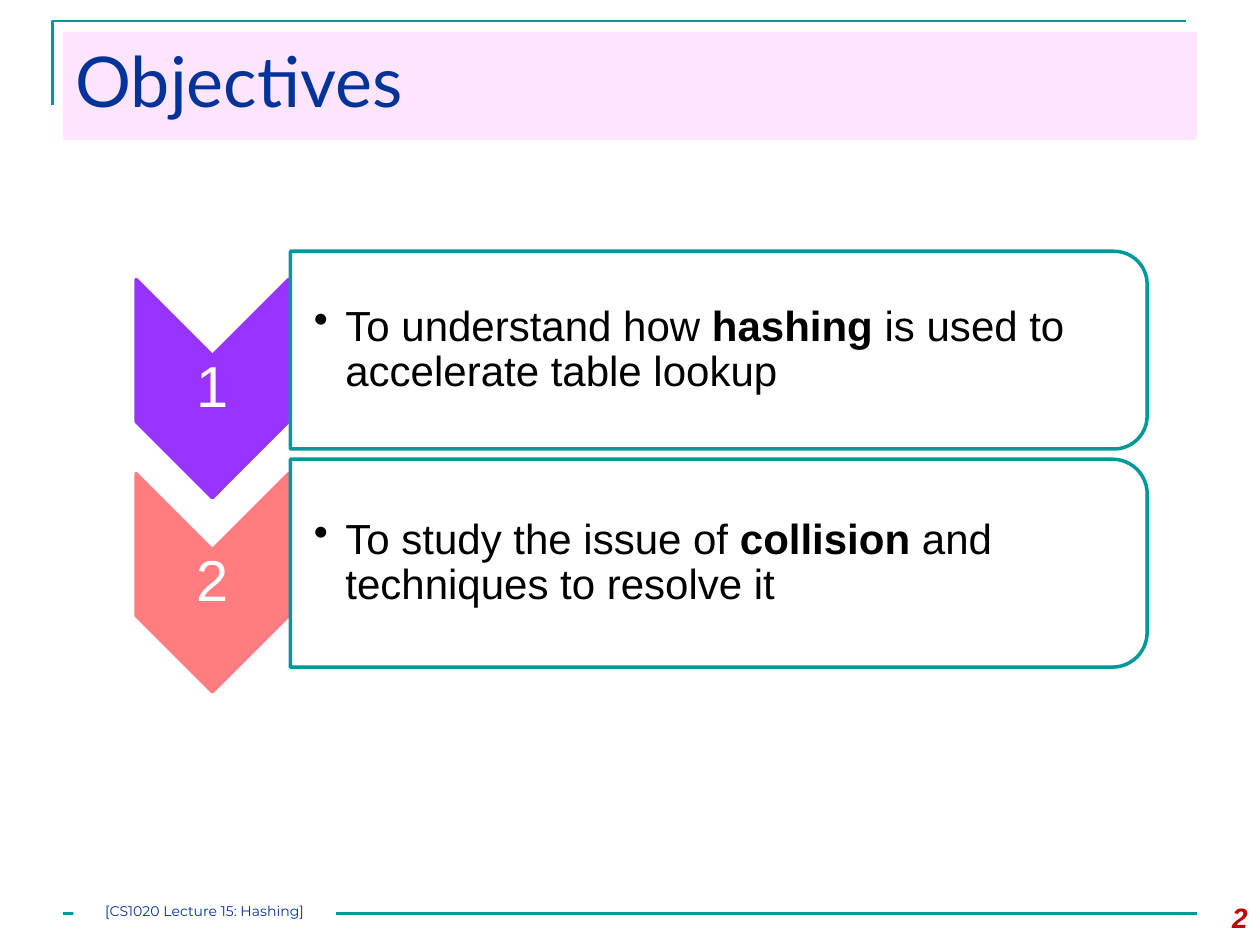
from lxml.etree import SubElement
from pptx import Presentation
from pptx.dml.color import RGBColor
from pptx.enum.shapes import MSO_CONNECTOR, MSO_SHAPE
from pptx.enum.text import MSO_ANCHOR as Anchor, MSO_AUTO_SIZE, PP_ALIGN as Align
from pptx.oxml.ns import qn
from pptx.util import Pt

COLORS = {
    "teal": "009999", "navy": "003399", "pink": "FF99FF", "white": "FFFFFF",
    "black": "000000", "red": "C00000", "violet": "9933FF", "coral": "FF7C80",
}
# number, colour, panel top, panel height, text runs as (words, bold)
OBJECTIVES = [
    ("1", "violet", 143.6, 113, [
        ("To understand how ", False), ("hashing", True),
        (" is used to accelerate table lookup", False)]),
    ("2", "coral", 262.4, 118.8, [
        ("To study the issue of ", False), ("collision", True),
        (" and techniques to resolve it", False)]),
]
CHEVRON_TOP, CHEVRON_STEP = 159.8, 110.9


def rgb(name):
    return RGBColor.from_string(COLORS[name])


def set_fill(shape, color, alpha=100):
    shape.fill.solid()
    shape.fill.fore_color.rgb = rgb(color)
    if alpha < 100:
        tint = shape.fill._xPr.find(qn("a:solidFill"))[0]
        SubElement(tint, qn("a:alpha"), val=str(alpha * 1000))


def set_line(shape, color, width):
    shape.line.color.rgb = rgb(color)
    shape.line.width = Pt(width)


def set_font(para, name, size, color):
    para.font.name = name
    para.font.size = Pt(size)
    para.font.color.rgb = rgb(color)


def set_frame(shape, anchor, left=1.5, other=1.5):
    frame = shape.text_frame
    frame.word_wrap = True
    frame.vertical_anchor = anchor
    frame.margin_left = Pt(left)
    frame.margin_top = frame.margin_right = frame.margin_bottom = Pt(other)
    return frame


def add_text_box(page, left, top, width, height):
    return page.shapes.add_textbox(Pt(left), Pt(top), Pt(width), Pt(height))


def add_turned_shape(page, kind, left, top, width, height):
    """Add a shape turned by 90 degrees that fills the given upright box."""
    shape = page.shapes.add_shape(
        kind, Pt(left + (width - height) / 2), Pt(top + (height - width) / 2),
        Pt(height), Pt(width))
    shape.rotation = 90
    shape.shadow.inherit = False
    return shape


def add_heading(page, left, top, width, height):
    title = page.shapes.title
    title.left, title.top, title.width, title.height = map(Pt, (left, top, width, height))
    set_fill(title, "pink", 25)
    frame = set_frame(title, Anchor.TOP, 7.2, 3.6)
    frame.auto_size = MSO_AUTO_SIZE.NONE
    frame.text = "Objectives"
    para = frame.paragraphs[0]
    para.alignment = Align.LEFT
    set_font(para, "Lato", 40, "navy")

    builder = page.shapes.build_freeform(Pt(left - 6), Pt(top + 42))
    builder.add_line_segments(
        [(Pt(left - 6), Pt(top - 6)), (Pt(left + width - 6), Pt(top - 6))], close=False)
    corner = builder.convert_to_shape()
    corner.fill.background()
    set_line(corner, "teal", 1.5)
    corner.shadow.inherit = False


def add_chevron(page, number, color, left, top, width, height):
    chevron = add_turned_shape(page, MSO_SHAPE.CHEVRON, left, top, width, height)
    set_fill(chevron, color)
    set_line(chevron, color, 2)
    label = add_text_box(page, left, top + width / 2, width, height - width)
    frame = set_frame(label, Anchor.MIDDLE)
    frame.text = number
    para = frame.paragraphs[0]
    para.alignment = Align.CENTER
    para.line_spacing = 0.9
    set_font(para, "Arial", 33, "white")


def add_panel(page, spans, left, top, width, height):
    panel = add_turned_shape(
        page, MSO_SHAPE.ROUND_2_SAME_RECTANGLE, left, top, width, height)
    set_fill(panel, "white", 90)
    set_line(panel, "teal", 2)
    box = add_text_box(page, left, top + 5.7, width - 5.4, height - 11.4)
    para = set_frame(box, Anchor.MIDDLE, left=13.5).paragraphs[0]
    para.level = 1
    para.line_spacing = 0.9
    props = para._p.get_or_add_pPr()
    props.set("marL", str(Pt(18)))
    props.set("indent", str(Pt(-18)))
    SubElement(props, qn("a:buChar"), char="•")
    set_font(para, "Arial", 24, "black")
    for words, bold in spans:
        span = para.add_run()
        span.text = words
        span.font.bold = bold


def add_objectives(page, left, width):
    chevron_width = 87.1
    for index, (number, color, top, height, spans) in enumerate(OBJECTIVES):
        add_chevron(page, number, color, left, CHEVRON_TOP + index * CHEVRON_STEP,
                    chevron_width, 124.6)
        add_panel(page, spans, left + chevron_width + 1, top,
                  width - chevron_width - 1, height)


def add_footer(page, left, top, width):
    rule = page.shapes.add_connector(
        MSO_CONNECTOR.STRAIGHT, Pt(left), Pt(top), Pt(left + width), Pt(top))
    set_line(rule, "teal", 1.5)
    SubElement(rule._element.spPr, qn("a:effectLst"))

    label = page.shapes.add_shape(
        MSO_SHAPE.RECTANGLE, Pt(left + 6), Pt(top - 6), Pt(150), Pt(12))
    label.shadow.inherit = False
    set_fill(label, "white")
    label.line.fill.background()
    frame = set_frame(label, Anchor.TOP, 0, 0)
    frame.text = "[CS1020 Lecture 15: Hashing]"
    para = frame.paragraphs[0]
    para.alignment = Align.CENTER
    set_font(para, "Montserrat", 8, "navy")

    number = add_text_box(page, left + width - 12, top - 10.8, 48, 28.8)
    frame = set_frame(number, Anchor.TOP, 7.2, 3.6)
    frame.margin_right = Pt(7.2)
    frame.text = "2"
    para = frame.paragraphs[0]
    para.alignment = Align.RIGHT
    set_font(para, "Arial", 16, "red")
    para.font.bold = para.font.italic = True


def main():
    deck = Presentation()
    deck.slide_width, deck.slide_height = Pt(720), Pt(540)
    page = deck.slides.add_slide(deck.slide_layouts[5])
    add_heading(page, 36, 18, 648, 62)
    add_objectives(page, 77.8, 577.7)
    add_footer(page, 36, 522, 648)
    deck.save("out.pptx")


if __name__ == "__main__":
    main()
